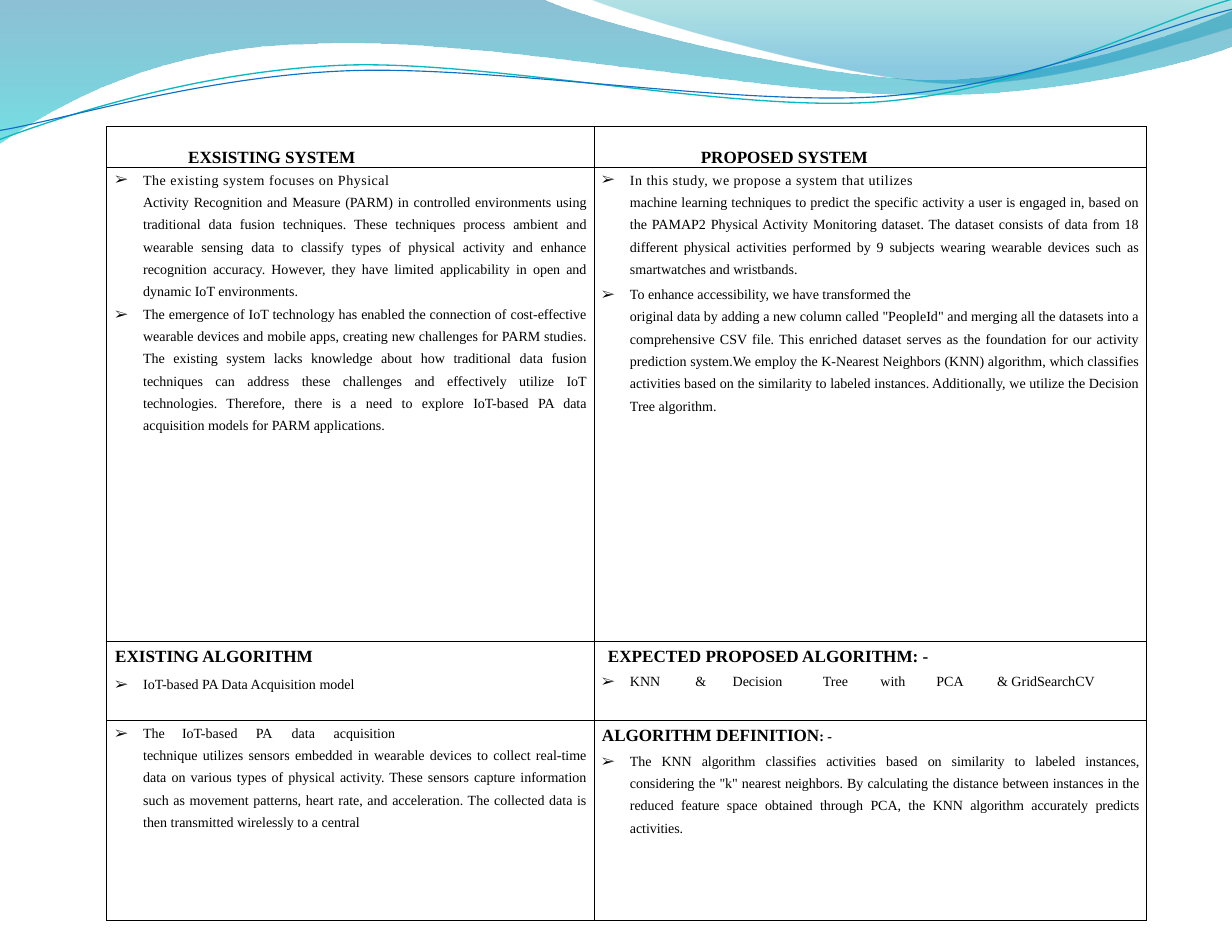
from lxml.etree import SubElement
from pptx import Presentation
from pptx.dml.color import RGBColor
from pptx.enum.text import PP_ALIGN
from pptx.oxml import parse_xml
from pptx.oxml.ns import nsdecls, qn
from pptx.util import Pt

FONT = "Times New Roman"
BLACK = "000000"
BODY_SIZE, HEADING_SIZE = 9, 11
HANGING = 18

# A pair of numbers is a straight line; three pairs are a cubic curve.
BROAD_WAVE = [(0, 0), (348.5, -0.7),
              ((376.5, 13.7), (525.5, 51), (600.5, 51)),
              ((675.5, 51), (759, 21), (792, 7)), (792.5, 29.5),
              ((779, 36), (689, 62), (590.5, 61)),
              ((492.5, 61), (302.5, 23), (204, 28)),
              ((102, 29), (36, 67.5), (-0.5, 92))]
RIGHT_WAVE = [(379.5, -0.5), ((403, 9.5), (540, 50.5), (609, 53.5)),
              ((677.5, 56), (762, 26), (792, 17.5)), (792, 0)]
TEAL_LINE = [(-1, 90), ((38, 75.5), (124.5, 46), (219, 42)),
             ((313, 38), (469.5, 72.5), (564.5, 65.5)),
             ((659.5, 58.5), (743, 13), (792, -0.5))]
BLUE_LINE = [(-1, 84), ((37.5, 78), (129.5, 49), (224, 45.5)),
             ((319, 42), (473, 68.5), (568, 62)),
             ((662.5, 54.5), (745, 17), (792, 6))]


def color(value):
    return RGBColor.from_string(value)


def add_outline(slide, left, top, outline, close):
    """Build a freeform on the end points, then bend its curved segments."""
    ends = [part if not isinstance(part[0], tuple) else part[-1] for part in outline]
    points = [(Pt(left + x), Pt(top + y)) for x, y in ends]
    builder = slide.shapes.build_freeform(*points[0], scale=1.0)
    builder.add_line_segments(points[1:], close=close)
    shape = builder.convert_to_shape()
    shape.shadow.inherit = False
    segments = list(shape._element.iter(qn("a:lnTo")))
    for segment, part in zip(segments, outline[1:]):
        if isinstance(part[0], tuple):
            curve = parse_xml(f'<a:cubicBezTo {nsdecls("a")}/>')
            for x, y in part:
                SubElement(curve, qn("a:pt"), x=str(Pt(left + x) - shape.left),
                           y=str(Pt(top + y) - shape.top))
            segment.getparent().replace(segment, curve)
    return shape


def add_wave(slide, left, top, outline, stops):
    """Stops are (position, colour, opacity in percent), from top to bottom."""
    shape = add_outline(slide, left, top, outline, True)
    shape.line.fill.background()
    shape.fill.gradient()
    shape.fill.gradient_angle = 270
    for stop, (position, value, _) in zip(shape.fill.gradient_stops, stops):
        stop.position = position
        stop.color.rgb = color(value)
    elements = shape._element.spPr.iter(qn("a:srgbClr"))
    for element, (_, _, opacity) in zip(elements, stops):
        SubElement(element, qn("a:alpha"), val=str(opacity * 1000))


def add_wave_line(slide, left, top, outline, value, width):
    shape = add_outline(slide, left, top, outline, False)
    shape.fill.background()
    shape.line.color.rgb = color(value)
    shape.line.width = Pt(width)


def add_header(slide, left, top):
    add_wave(slide, left, top, BROAD_WAVE, [(0, "0074A1", 45), (1, "00C6CF", 55)])
    add_wave(slide, left, top, RIGHT_WAVE, [(0, "00A1A9", 30), (0.8, "008BBF", 45)])
    add_wave_line(slide, left, top, TEAL_LINE, "0AB8BF", 0.85)
    add_wave_line(slide, left, top, BLUE_LINE, "0F6FC6", 0.75)


def add_run(paragraph, text, size, bold, spacing=0):
    run = paragraph.add_run()
    run.text = text
    run.font.name = FONT
    run.font.size = Pt(size)
    run.font.bold = bold
    run.font.color.rgb = color(BLACK)
    if spacing:
        run.font._element.set("spc", str(round(spacing * 100)))


def write(cell, text, size=BODY_SIZE, bold=False, indent=23.5, bullet=False, justify=False,
          line=None, before=0, spacing=0, tabs=(), tail=""):
    """Add a paragraph; tail is a closing run at body size."""
    frame = cell.text_frame
    paragraph = frame.paragraphs[0]
    if paragraph.runs:
        paragraph = frame.add_paragraph()
    paragraph.alignment = PP_ALIGN.JUSTIFY if justify else PP_ALIGN.LEFT
    paragraph.space_before = Pt(before)
    if line:
        paragraph.line_spacing = line
    properties = paragraph._p.get_or_add_pPr()
    properties.set("marL", str(Pt(indent)))
    properties.set("marR", str(Pt(5)))
    properties.set("indent", str(-Pt(HANGING) if bullet else 0))
    if bullet:
        SubElement(properties, qn("a:buFont"), typeface=FONT)
        SubElement(properties, qn("a:buChar"), char="➢")
    if tabs:
        tab_list = SubElement(properties, qn("a:tabLst"))
        for position in tabs:
            SubElement(tab_list, qn("a:tab"), pos=str(Pt(position)), algn="l")
    add_run(paragraph, text, size, bold, spacing)
    if tail:
        add_run(paragraph, tail, BODY_SIZE, bold)


def write_heading(cell, text, indent, **options):
    write(cell, text, size=HEADING_SIZE, bold=True, indent=indent, line=Pt(16.1), **options)


def write_body(cell, text, **options):
    write(cell, text, **{"justify": True, "line": 1.44, **options})


def style_cell(cell, top_margin):
    cell.margin_left = cell.margin_right = cell.margin_bottom = 0
    cell.margin_top = Pt(top_margin)
    cell.fill.background()
    properties = cell._tc.get_or_add_tcPr()
    for index, side in enumerate(("lnL", "lnR", "lnT", "lnB")):
        properties.insert(index, parse_xml(
            f'<a:{side} {nsdecls("a")} w="{Pt(0.5)}"><a:solidFill>'
            f'<a:srgbClr val="{BLACK}"/></a:solidFill></a:{side}>'))


def fill_existing_column(title, system, algorithm, definition):
    write_heading(title, "EXSISTING SYSTEM", 52.5, before=12.9, spacing=-0.05)
    write_body(system, "The existing system focuses on Physical", bullet=True,
               line=Pt(13.4), spacing=0.35)
    write_body(system, "Activity Recognition and Measure (PARM) in controlled environments using traditional data fusion techniques. These techniques process ambient and wearable sensing data to classify types of physical activity and enhance recognition accuracy. However, they have limited applicability in open and dynamic IoT environments.", before=0.2)
    write_body(system, "The emergence of IoT technology has enabled the connection of cost-effective wearable devices and mobile apps, creating new challenges for PARM studies. The existing system lacks knowledge about how traditional data fusion techniques can address these challenges and effectively utilize IoT technologies. Therefore, there is a need to explore IoT-based PA data acquisition models for PARM applications.", bullet=True)
    write_heading(algorithm, "EXISTING ALGORITHM", 5.5)
    write(algorithm, "IoT-based PA Data Acquisition model", bullet=True, before=7.2)
    write(definition, "The\tIoT-based\tPA\tdata\tacquisition", bullet=True,
          line=Pt(13.4), tabs=(23.5, 48.5, 96, 119, 146))
    write_body(definition, "technique utilizes sensors embedded in wearable devices to collect real-time data on various types of physical activity. These sensors capture information such as movement patterns, heart rate, and acceleration. The collected data is then transmitted wirelessly to a central")


def fill_proposed_column(title, system, algorithm, definition):
    indent = 23
    write_heading(title, "PROPOSED SYSTEM", 68.5, before=12.9, spacing=-0.05)
    write_body(system, "In this study, we propose a system that utilizes", indent=indent,
               bullet=True, line=Pt(13.4), spacing=0.3)
    write_body(system, "machine learning techniques to predict the specific activity a user is engaged in, based on the PAMAP2 Physical Activity Monitoring dataset. The dataset consists of data from 18 different physical activities performed by 9 subjects wearing wearable devices such as smartwatches and wristbands.", indent=indent)
    write_body(system, "To enhance accessibility, we have transformed the", indent=indent,
               bullet=True, line=None, before=6.2)
    write_body(system, "original data by adding a new column called \"PeopleId\" and merging all the datasets into a comprehensive CSV file. This enriched dataset serves as the foundation for our activity prediction system.We employ the K-Nearest Neighbors (KNN) algorithm, which classifies activities based on the similarity to labeled instances. Additionally, we utilize the Decision Tree algorithm.", indent=indent)
    write_heading(algorithm, "EXPECTED PROPOSED ALGORITHM: -", 8.8)
    write(algorithm, "KNN\t&\tDecision\tTree\twith\tPCA\t& GridSearchCV", indent=indent,
          bullet=True, line=1.43, before=1.1, tabs=(23, 65, 89, 147, 184, 220, 259))
    write_heading(definition, "ALGORITHM DEFINITION", 5, spacing=-0.05, tail=": -")
    write_body(definition, "The KNN algorithm classifies activities based on similarity to labeled instances, considering the \"k\" nearest neighbors. By calculating the distance between instances in the reduced feature space obtained through PCA, the KNN algorithm accurately predicts activities.", indent=indent, bullet=True, before=1, spacing=-0.05)


def add_comparison_table(slide, left, top, widths, heights):
    table = slide.shapes.add_table(len(heights), len(widths), Pt(left), Pt(top),
                                   Pt(sum(widths)), Pt(sum(heights))).table
    table.first_row = table.horz_banding = False
    for column, width in zip(table.columns, widths):
        column.width = Pt(width)
    for index, (row, height) in enumerate(zip(table.rows, heights)):
        row.height = Pt(height)
        for cell in row.cells:
            style_cell(cell, 0 if index else 10)
    for column, fill_column in enumerate((fill_existing_column, fill_proposed_column)):
        fill_column(*(table.cell(row, column) for row in range(len(heights))))


def main():
    presentation = Presentation()
    presentation.slide_width, presentation.slide_height = Pt(792), Pt(612)
    slide = presentation.slides.add_slide(presentation.slide_layouts[6])
    add_header(slide, 0, 0)
    add_comparison_table(slide, 68.5, 81.3, (313.5, 355), (26.2, 304.6, 51, 128.3))
    presentation.save("out.pptx")


if __name__ == "__main__":
    main()
